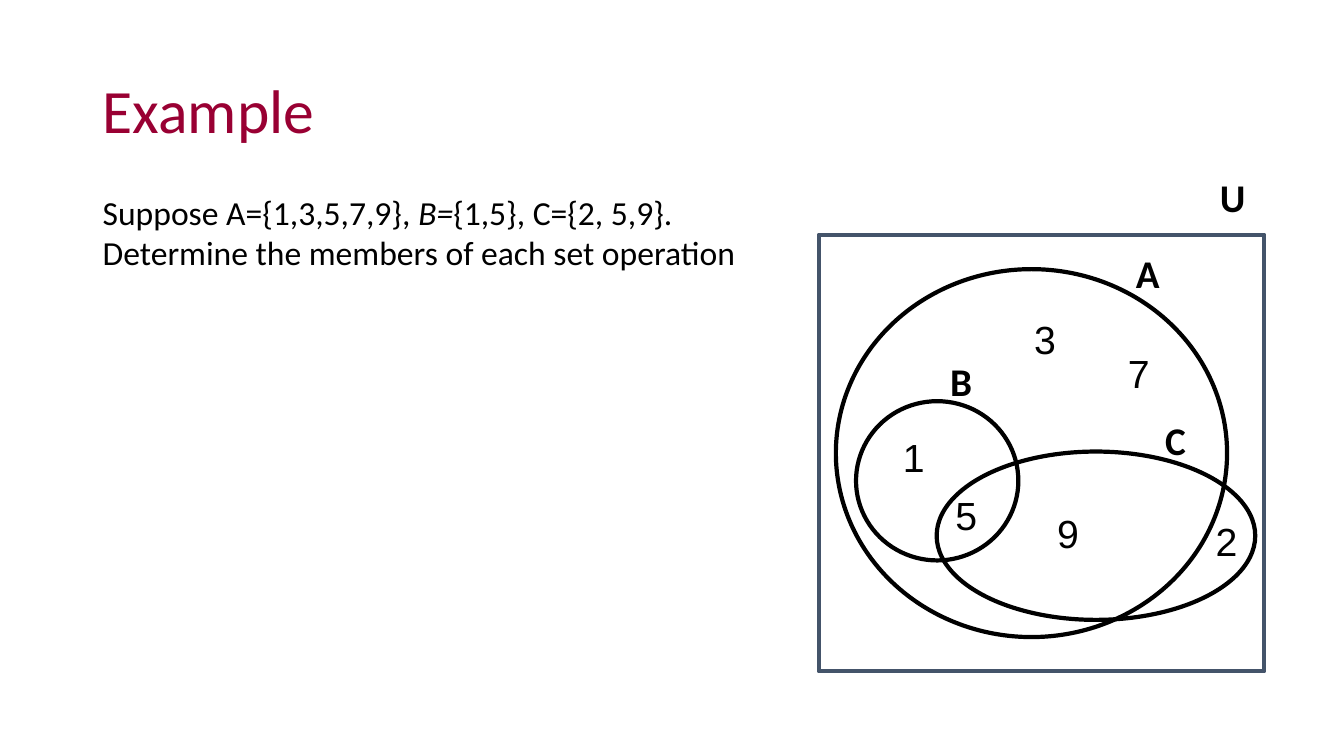
from dataclasses import dataclass
from typing import Optional

from lxml.etree import SubElement
from pptx import Presentation
from pptx.dml.color import RGBColor
from pptx.enum.shapes import MSO_SHAPE as Shape
from pptx.enum.text import MSO_ANCHOR as Anchor, PP_ALIGN as Align
from pptx.oxml.ns import qn
from pptx.util import Emu, Pt

EMU_PER_PX = 9144  # 100 px to the inch
LABEL_HEIGHT = 57
FONT = "Calibri"
DIGIT_FONT = "Arial"
COLORS = {"title": "990033", "text": "000000", "paper": "FFFFFF", "frame": "44546A"}


@dataclass
class Outline:
    kind: Shape
    box: tuple[int, int, int, int]
    line: str = "text"
    fill: Optional[str] = None


@dataclass
class Label:
    text: str
    left: int
    top: int
    width: int
    fill: Optional[str] = None


# Venn diagram, from back to front
DIAGRAM = [
    Label("A", 1110, 242, 50, "paper"),
    Outline(Shape.OVAL, (829, 267, 388, 365), fill="paper"),  # set A
    Label("B", 904, 350, 70),
    Outline(Shape.OVAL, (929, 448, 316, 167)),  # set C
    Outline(Shape.OVAL, (849, 398, 161, 158)),  # set B
    Label("C", 1116, 408, 70),
    Label("3", 987, 308, 70),
    Label("7", 1080, 342, 70),
    Label("1", 879, 425, 48),
    Label("5", 939, 483, 40),
    Label("9", 1030, 500, 50),
    Outline(Shape.RECTANGLE, (812, 233, 442, 433), line="frame"),  # universe
    Label("U", 1195, 167, 50, "paper"),
    Label("2", 1187, 508, 50),
]


def px(length: int) -> Emu:
    return Emu(length * EMU_PER_PX)


def color(name: str) -> RGBColor:
    return RGBColor.from_string(COLORS[name])


def add_run(paragraph, text: str, size: int, color_name: str = "text", **formats):
    run = paragraph.add_run()
    run.text = text
    for name, value in {"name": FONT, "size": Pt(size), **formats}.items():
        setattr(run.font, name, value)
    run.font.color.rgb = color(color_name)
    return run


def add_text_box(slide, box: tuple[int, int, int, int]):
    text_box = slide.shapes.add_textbox(*map(px, box))
    text_box.text_frame.word_wrap = True
    return text_box


def add_outline(slide, outline: Outline) -> None:
    shape = slide.shapes.add_shape(outline.kind, *map(px, outline.box))
    shape.shadow.inherit = False
    shape.line.color.rgb = color(outline.line)
    shape.line.width = Pt(3)
    if outline.fill:
        shape.fill.solid()
        shape.fill.fore_color.rgb = color(outline.fill)
    else:
        shape.fill.background()


def add_label(slide, label: Label) -> None:
    text_box = add_text_box(slide, (label.left, label.top, label.width, LABEL_HEIGHT))
    if label.fill:
        text_box.fill.solid()
        text_box.fill.fore_color.rgb = color(label.fill)
    paragraph = text_box.text_frame.paragraphs[0]
    paragraph.alignment = Align.RIGHT
    run = add_run(paragraph, label.text, 28, bold=label.text.isalpha())
    # Right-to-left paragraphs set their digits in the complex-script font
    paragraph._p.get_or_add_pPr().set("rtl", "1")
    script_font = DIGIT_FONT if label.text.isdigit() else FONT
    SubElement(run.font._element, qn("a:cs")).set("typeface", script_font)


def main() -> None:
    presentation = Presentation()
    presentation.slide_width, presentation.slide_height = px(1333), px(750)
    slide = presentation.slides.add_slide(presentation.slide_layouts[6])

    # Title
    title = add_text_box(slide, (92, 40, 839, 145)).text_frame
    title.vertical_anchor = Anchor.MIDDLE
    title.paragraphs[0].line_spacing = 0.9
    add_run(title.paragraphs[0], "Example", 44, "title")

    # Task
    task = add_text_box(slide, (92, 185, 667, 91)).text_frame.paragraphs[0]
    add_run(task, "Suppose A={1,3,5,7,9}, ", 24)
    add_run(task, "B=", 24, italic=True)
    add_run(task, "{1,5}, C={2, 5,9}. Determine the members of each set operation", 24)

    # Diagram
    for part in DIAGRAM:
        if isinstance(part, Label):
            add_label(slide, part)
        else:
            add_outline(slide, part)

    presentation.save("out.pptx")


if __name__ == "__main__":
    main()
